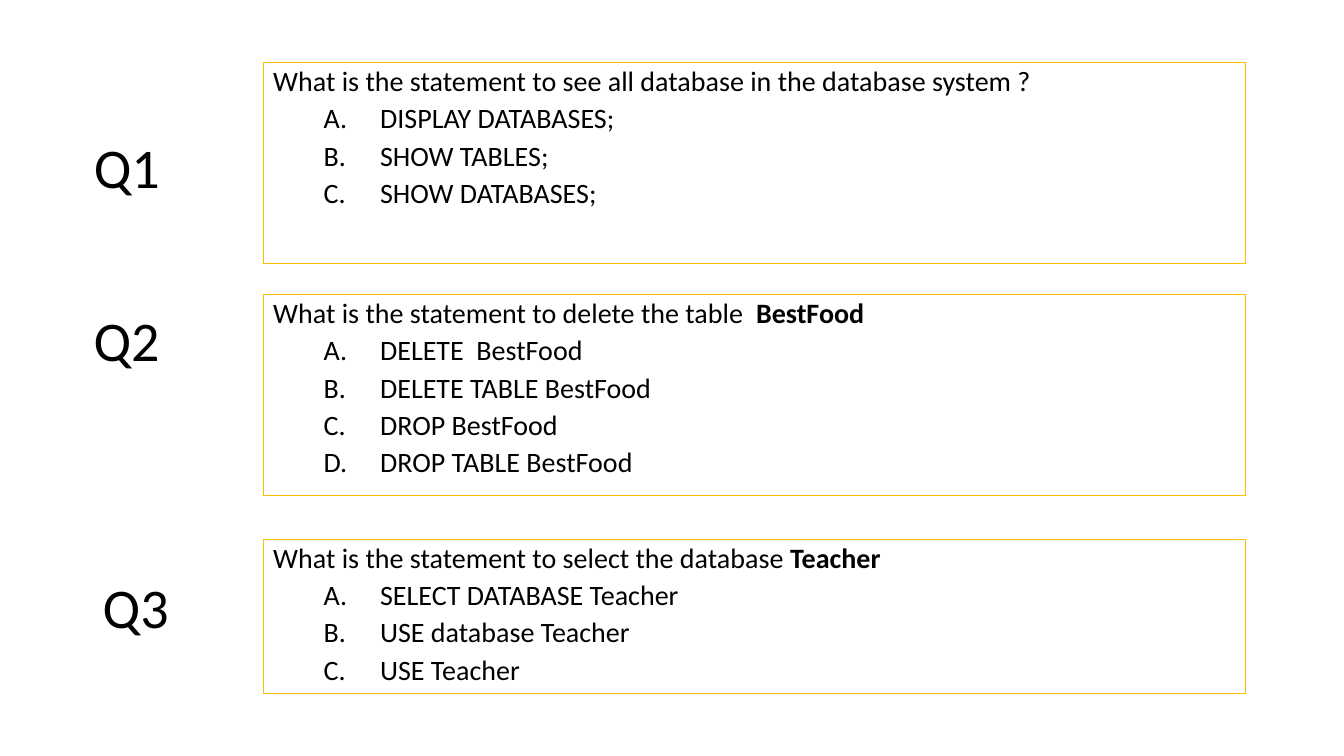
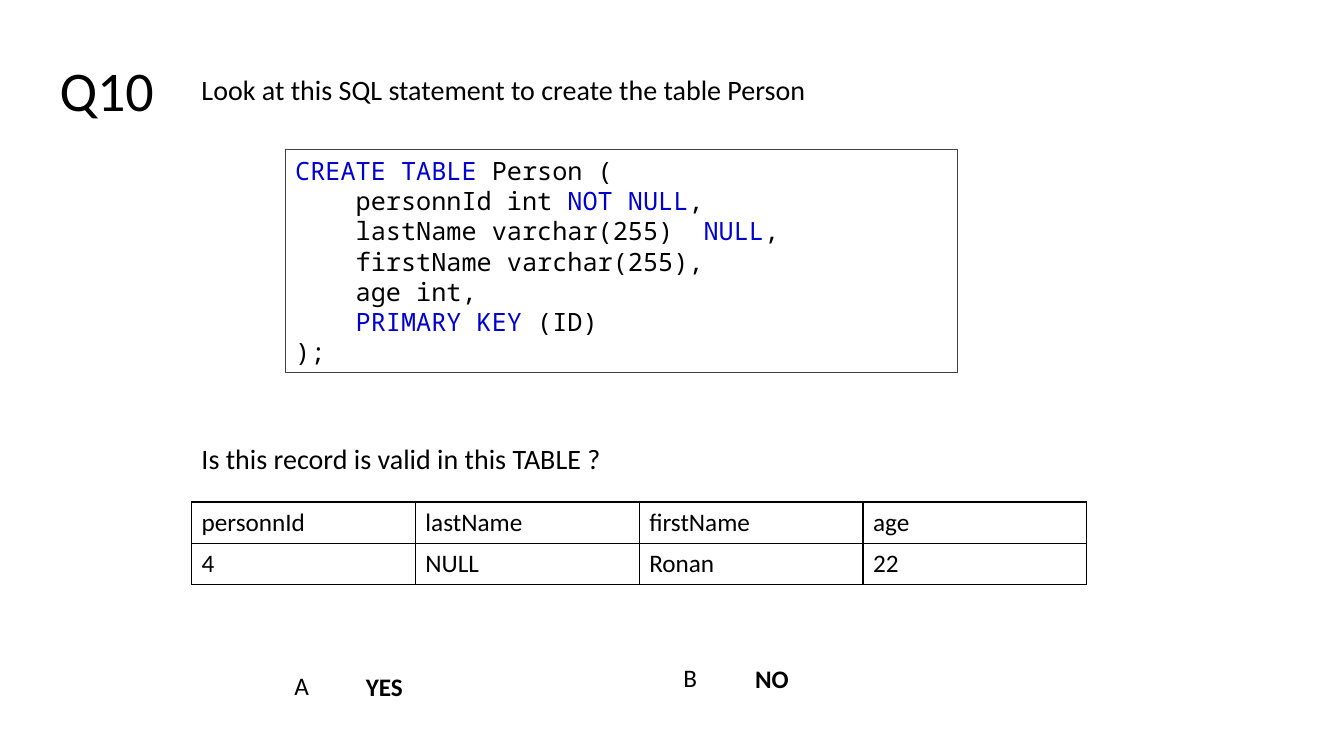
import pptx
import pptx.dml.color
import pptx.enum.text
import pptx.oxml.ns
import pptx.util
from lxml import etree

# Shared scale, colours and fonts
PX = 9144  # 100 px to the inch
BLACK = pptx.dml.color.RGBColor(0x00, 0x00, 0x00)
GOLD = pptx.dml.color.RGBColor(0xFF, 0xC0, 0x00)
GREY = pptx.dml.color.RGBColor(0x40, 0x40, 0x40)
KEYWORD = pptx.dml.color.RGBColor(0x00, 0x00, 0xCD)
TEXT_FONT = "Calibri"
CODE_FONT = "Noto Sans Mono"
COMPARISON, TITLE_ONLY = 4, 5  # template layouts

# Content: label place, box place, question runs (text, bold), answers
QUESTIONS = [
    ("Q1", (83, 126), (261, 62, 974, 199),
     [("What is the statement to see all database in the database system ?", False)],
     ["DISPLAY DATABASES;", "SHOW TABLES;", "SHOW DATABASES;"]),
    ("Q2", (83, 298), (261, 292, 974, 200),
     [("What is the statement to delete the table  ", False), ("BestFood", True)],
     ["DELETE  BestFood", "DELETE TABLE BestFood", "DROP BestFood", "DROP TABLE BestFood"]),
    ("Q3", (92, 563), (261, 535, 974, 153),
     [("What is the statement to select the database ", False), ("Teacher", True)],
     ["SELECT DATABASE Teacher", "USE database Teacher", "USE Teacher"]),
]
# Code lines: indent in px, then runs (text, colour)
CODE = [
    (0, [("CREATE TABLE", KEYWORD), (" Person (", BLACK)]),
    (60, [("personnId int ", BLACK), ("NOT NULL", KEYWORD), (",", BLACK)]),
    (60, [("lastName varchar(255)  ", BLACK), ("NULL", KEYWORD), (",", BLACK)]),
    (60, [("firstName varchar(255),", BLACK)]),
    (60, [("age int,", BLACK)]),
    (60, [("PRIMARY KEY", KEYWORD), (" (ID)", BLACK)]),
    (0, [(");", BLACK)]),
]
RECORD = [["personnId", "lastName", "firstName", "age"], ["4", "NULL", "Ronan", "22"]]
# Choices: letter, answer, left, top
CHOICES = [("A", "YES", 282, 660), ("B", "NO", 668, 652)]


def px(length):
    return pptx.util.Emu(length * PX)


def place(box, left, top, width, height):
    box.left, box.top, box.width, box.height = map(px, (left, top, width, height))


def add_span(para, text, size, color=BLACK, bold=False, font=TEXT_FONT):
    span = para.add_run()
    span.text = text
    span.font.size = pptx.util.Pt(size)
    span.font.name = font
    span.font.bold = bold
    span.font.color.rgb = color


def next_para(frame, index):
    return frame.paragraphs[0] if index == 0 else frame.add_paragraph()


def add_child(parent, tag, **attributes):
    return etree.SubElement(parent, pptx.oxml.ns.qn(tag), **attributes)


def set_indent(para, margin, first=0):
    properties = para._p.get_or_add_pPr()
    properties.set("marL", str(px(margin)))
    properties.set("indent", str(px(first)))
    return properties


def outline(box, color):
    box.line.color.rgb = color
    box.line.width = pptx.util.Pt(0.75)


def add_text(page, text, left, top, width, height, size, bold=False, wrap=False):
    box = page.shapes.add_textbox(*map(px, (left, top, width, height)))
    box.text_frame.word_wrap = wrap
    box.text_frame.auto_size = pptx.enum.text.MSO_AUTO_SIZE.SHAPE_TO_FIT_TEXT
    add_span(box.text_frame.paragraphs[0], text, size, bold=bold)


def fill_title(page, text, left, top, width):
    title = page.shapes.title
    place(title, left, top, width, 77)
    frame = title.text_frame
    frame.word_wrap = False
    frame.auto_size = pptx.enum.text.MSO_AUTO_SIZE.NONE
    frame.vertical_anchor = pptx.enum.text.MSO_ANCHOR.TOP
    para = frame.paragraphs[0]
    para.alignment = pptx.enum.text.PP_ALIGN.LEFT
    add_span(para, text, 40)


def fill_question(body, area, question, answers):
    place(body, *area)
    outline(body, GOLD)
    frame = body.text_frame
    frame.word_wrap = True
    frame.auto_size = pptx.enum.text.MSO_AUTO_SIZE.NONE
    frame.vertical_anchor = pptx.enum.text.MSO_ANCHOR.TOP
    lines = [question] + [[(answer, False)] for answer in answers]
    for index, runs in enumerate(lines):
        para = next_para(frame, index)
        para.line_spacing = 0.9
        para.space_before = pptx.util.Pt(5 if index else 10)
        if index:
            para.level = 1
            properties = set_indent(para, 106, -56)
            add_child(properties, "a:buFont", typeface=TEXT_FONT)
            add_child(properties, "a:buAutoNum", type="alphaUcPeriod")
        else:
            add_child(set_indent(para, 0), "a:buNone")
        for text, bold in runs:
            add_span(para, text, 20, bold=bold)


def add_code(page, left, top, width, height):
    box = page.shapes.add_textbox(*map(px, (left, top, width, height)))
    outline(box, GREY)
    frame = box.text_frame
    frame.word_wrap = True
    frame.vertical_anchor = pptx.enum.text.MSO_ANCHOR.MIDDLE
    for index, (indent, runs) in enumerate(CODE):
        para = next_para(frame, index)
        para.line_spacing = pptx.util.Pt(21.6)
        set_indent(para, indent)
        for text, color in runs:
            add_span(para, text, 18, color, font=CODE_FONT)


def add_borders(cell):
    properties = cell._tc.get_or_add_tcPr()
    for position, side in enumerate(("a:lnL", "a:lnR", "a:lnT", "a:lnB")):
        edge = etree.Element(pptx.oxml.ns.qn(side), w=str(pptx.util.Pt(1)))
        add_child(add_child(edge, "a:solidFill"), "a:srgbClr", val=str(BLACK))
        properties.insert(position, edge)


def add_record(page, left, top, column_width, row_height):
    rows, columns = len(RECORD), len(RECORD[0])
    table = page.shapes.add_table(
        rows, columns, px(left), px(top),
        px(columns * column_width), px(rows * row_height)).table
    table.first_row = table.horz_banding = False
    for row, values in enumerate(RECORD):
        for column, value in enumerate(values):
            cell = table.cell(row, column)
            cell.fill.background()
            add_borders(cell)
            add_span(cell.text_frame.paragraphs[0], value, 18)


def add_questions_page(deck):
    page = deck.slides.add_slide(deck.slide_layouts[COMPARISON])
    bodies = [box for box in page.placeholders if box.placeholder_format.idx in (1, 2, 4)]
    for body, (label, (left, top), area, question, answers) in zip(bodies, QUESTIONS):
        fill_question(body, area, question, answers)
        if label == "Q1":
            fill_title(page, label, left, top, 86)
        else:
            add_text(page, label, left, top, 86, 77, 40)
    # Drop the placeholder that stays empty
    for box in list(page.placeholders):
        if not box.text_frame.text:
            box._element.getparent().remove(box._element)


def add_record_page(deck):
    page = deck.slides.add_slide(deck.slide_layouts[TITLE_ONLY])
    fill_title(page, "Q10", 49, 50, 115)
    add_code(page, 283, 148, 667, 222)
    add_text(page, "Look at this SQL statement to create the table Person",
             190, 67, 725, 44, 20, wrap=True)
    add_text(page, "Is this record is valid in this TABLE ?",
             190, 433, 725, 44, 20, wrap=True)
    add_record(page, 190, 498, 222, 41)
    for letter, answer, left, top in CHOICES:
        add_text(page, letter, left, top, 35, 40, 18)
        add_text(page, answer, left + 71, top + 1, 60, 40, 18, bold=True)


def main():
    deck = pptx.Presentation()
    deck.slide_width, deck.slide_height = px(1333), px(750)
    add_questions_page(deck)
    add_record_page(deck)
    deck.save("out.pptx")


if __name__ == "__main__":
    main()
